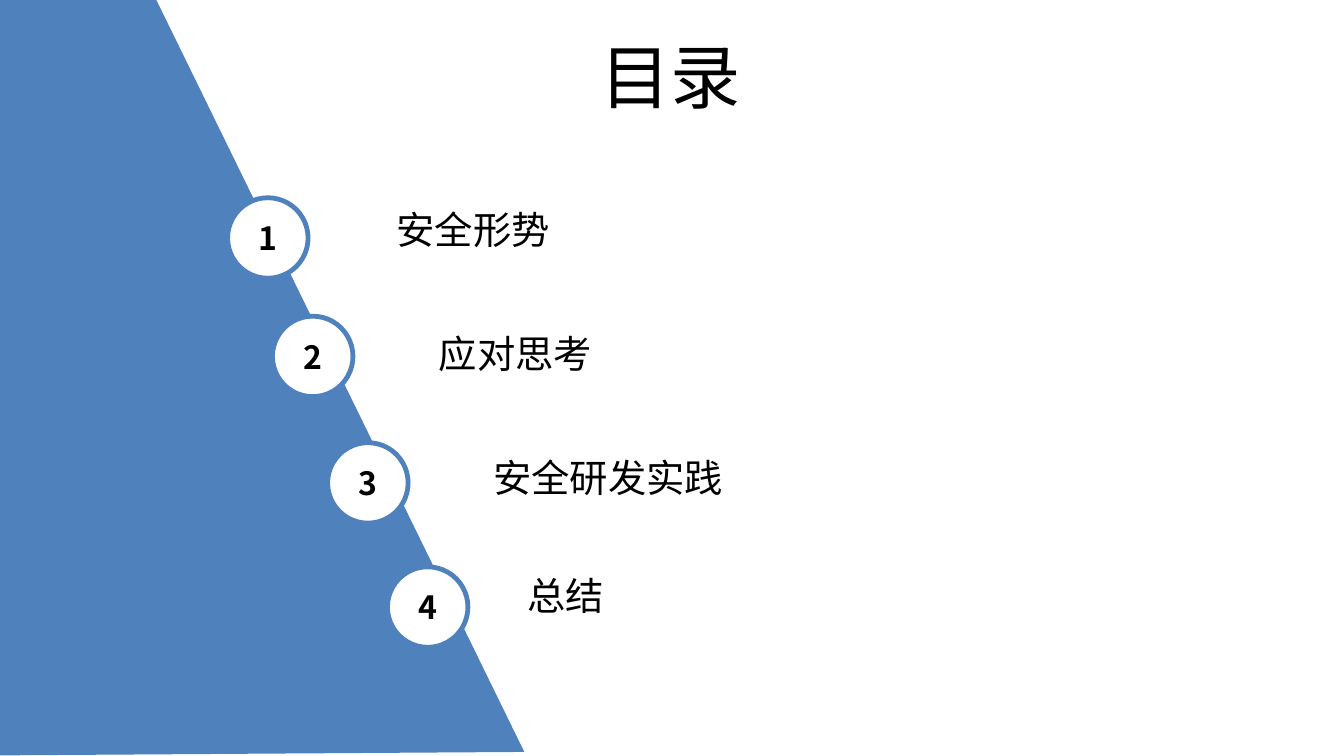
import pptx
import pptx.dml.color
import pptx.enum.shapes
import pptx.enum.text
import pptx.oxml.ns
import pptx.util
from lxml import etree
from pptx.util import Inches

BLUE = pptx.dml.color.RGBColor(0x4F, 0x81, 0xBD)
WHITE = pptx.dml.color.RGBColor(0xFF, 0xFF, 0xFF)
BLACK = pptx.dml.color.RGBColor(0x00, 0x00, 0x00)
FONT = "Noto Sans CJK SC"
ALIGN = pptx.enum.text.PP_ALIGN
ANCHOR = pptx.enum.text.MSO_ANCHOR
PAGE_WIDTH = pptx.util.Emu(10688638)
PAGE_HEIGHT = pptx.util.Emu(6011863)
BADGE_SIZE = 0.7

# Number, heading, badge (left, top), heading box (left, top, width)
ENTRIES = [
    ("1", "安全形势", (1.98, 1.72), (3.35, 1.74, 6.49)),
    ("2", "应对思考", (2.37, 2.75), (3.72, 2.82, 5.46)),
    ("3", "安全研发实践", (2.85, 3.85), (4.19, 3.9, 6.4)),
    ("4", "总结", (3.37, 4.93), (4.49, 4.93, 6.4)),
]


def write_text(shape, text, size, align, anchor, bold=False):
    frame = shape.text_frame
    frame.word_wrap = True
    frame.vertical_anchor = anchor
    frame.text = text
    para = frame.paragraphs[0]
    para.alignment = align
    font = para.font
    font.size = pptx.util.Pt(size)
    font.bold = bold
    font.color.rgb = BLACK
    font.name = FONT
    properties = para._p.pPr.find(pptx.oxml.ns.qn("a:defRPr"))
    latin = properties.find(pptx.oxml.ns.qn("a:latin"))
    east_asian = etree.Element(pptx.oxml.ns.qn("a:ea"), typeface=FONT)
    latin.addnext(east_asian)


def add_slanted_band(slide, left, top, width, height):
    """Draw the blue side band behind everything else on the slide."""
    builder = slide.shapes.build_freeform(Inches(left + width), Inches(top + height - 0.03))
    builder.add_line_segments([
        (Inches(left + 1.42), Inches(top)),
        (Inches(left), Inches(top)),
        (Inches(left + 0.02), Inches(top + height)),
    ])
    band = builder.convert_to_shape()
    band.shadow.inherit = False
    band.fill.solid()
    band.fill.fore_color.rgb = BLUE
    band.line.fill.background()
    slide.shapes._spTree.insert(2, band._element)


def place_title(slide, left, top, width, height):
    title = slide.shapes.title
    title.left, title.top = Inches(left), Inches(top)
    title.width, title.height = Inches(width), Inches(height)
    write_text(title, "目录", 44, ALIGN.CENTER, ANCHOR.MIDDLE)


def add_badge(slide, number, left, top):
    badge = slide.shapes.add_shape(
        pptx.enum.shapes.MSO_SHAPE.OVAL,
        Inches(left), Inches(top), Inches(BADGE_SIZE), Inches(BADGE_SIZE))
    badge.shadow.inherit = False
    badge.fill.solid()
    badge.fill.fore_color.rgb = WHITE
    badge.line.color.rgb = BLUE
    badge.line.width = pptx.util.Pt(3)
    write_text(badge, number, 20, ALIGN.CENTER, ANCHOR.MIDDLE, bold=True)


def add_heading(slide, heading, left, top, width):
    box = slide.shapes.add_textbox(Inches(left), Inches(top), Inches(width), Inches(0.5))
    write_text(box, heading, 24, ALIGN.LEFT, ANCHOR.TOP)
    box.text_frame.auto_size = pptx.enum.text.MSO_AUTO_SIZE.SHAPE_TO_FIT_TEXT


def main():
    deck = pptx.Presentation()
    deck.slide_width, deck.slide_height = PAGE_WIDTH, PAGE_HEIGHT
    slide = deck.slides.add_slide(deck.slide_layouts[5])
    add_slanted_band(slide, -0.06, 0, 4.62, 6.57)
    place_title(slide, 0.57, 0.11, 10.53, 1.1)
    for number, heading, badge_place, heading_place in ENTRIES:
        add_badge(slide, number, *badge_place)
        add_heading(slide, heading, *heading_place)
    deck.save("out.pptx")


if __name__ == "__main__":
    main()
